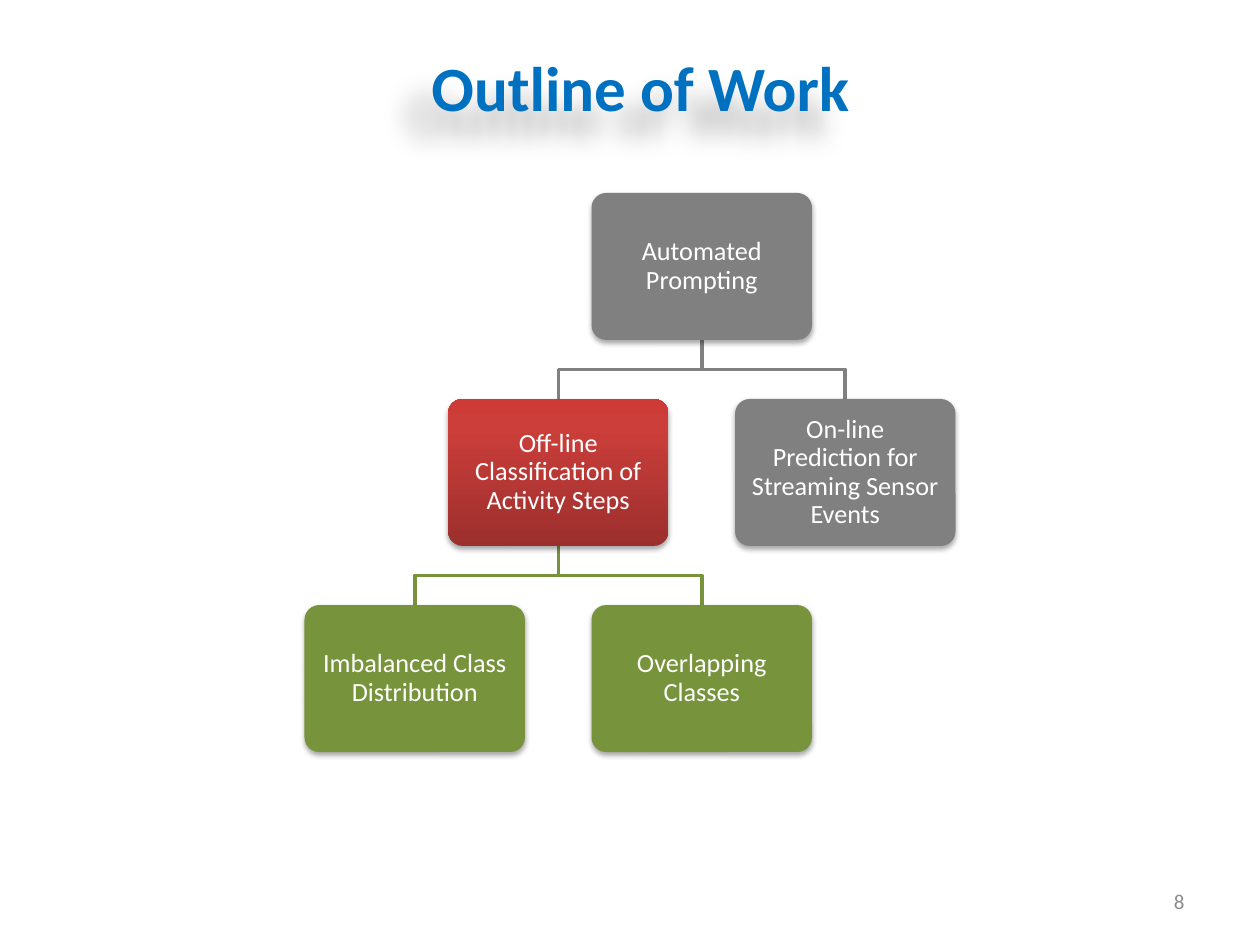
from copy import deepcopy

from lxml.etree import SubElement
from pptx import Presentation
from pptx.dml.color import RGBColor
from pptx.enum.shapes import MSO_SHAPE
from pptx.enum.text import MSO_ANCHOR, PP_ALIGN
from pptx.oxml.ns import qn
from pptx.util import Pt

COLOURS = {
    "title": "0070C0",
    "number": "8C8C8C",
    "text": "FFFFFF",
    "shadow": "000000",
    "grey": "808080",
    "green": "77933C",
}
RED_STOPS = [(0, "9C2F2D"), (0.8, "CB3E3A"), (1, "CE3B37")]

BOX_WIDTH, BOX_HEIGHT = 126, 84
FIRST_CENTRE, COLUMN_STEP = 237, 82
FIRST_TOP, ROW_STEP = 110.25, 117.75

NODES = {
    "root": ("Automated Prompting", 2, 0, "grey"),
    "offline": ("Off-line Classification of Activity Steps", 1, 1, "red"),
    "imbalanced": ("Imbalanced Class Distribution", 0, 2, "green"),
    "overlapping": ("Overlapping Classes", 2, 2, "green"),
    "online": ("On-line Prediction for Streaming Sensor Events", 3, 1, "grey"),
}
BRANCHES = [
    ("root", "offline", "grey"),
    ("offline", "imbalanced", "green"),
    ("offline", "overlapping", "green"),
    ("root", "online", "grey"),
]


class OutlineSlide:
    font = "Calibri"

    def __init__(self, presentation):
        self.slide = presentation.slides.add_slide(presentation.slide_layouts[6])

    def colour(self, name):
        return RGBColor.from_string(COLOURS[name])

    def set_text(self, shape, text, size, colour, alignment, bold=False):
        frame = shape.text_frame
        frame.text = text
        frame.word_wrap = True
        paragraph = frame.paragraphs[0]
        paragraph.alignment = alignment
        font = paragraph.runs[0].font
        font.name, font.size, font.bold = self.font, Pt(size), bold
        font.color.rgb = self.colour(colour)
        return paragraph

    def shadow(self, shape, blur, distance, angle, opacity):
        shape.shadow.inherit = False
        effects = shape.element.spPr.find(qn("a:effectLst"))
        outer = SubElement(
            effects, qn("a:outerShdw"), blurRad=str(Pt(blur)), dist=str(Pt(distance)),
            dir=str(angle * 60000), algn="ctr", rotWithShape="0")
        tint = SubElement(outer, qn("a:srgbClr"), val=COLOURS["shadow"])
        SubElement(tint, qn("a:alpha"), val=str(opacity * 1000))

    def label(self, text, left, top, width, height, size, colour, alignment,
              anchor=MSO_ANCHOR.TOP, bold=False):
        shape = self.slide.shapes.add_textbox(Pt(left), Pt(top), Pt(width), Pt(height))
        shape.text_frame.vertical_anchor = anchor
        self.set_text(shape, text, size, colour, alignment, bold)
        return shape

    def red_gradient(self, shape):
        fill = shape.fill
        fill.gradient()
        fill.gradient_angle = 90
        stop_list = next(shape.element.spPr.iter(qn("a:gsLst")))
        stop_list.append(deepcopy(stop_list[-1]))
        for stop, (position, colour) in zip(fill.gradient_stops, RED_STOPS):
            stop.position = position
            stop.color.rgb = RGBColor.from_string(colour)

    def box(self, text, column, row, colour):
        left = FIRST_CENTRE + column * COLUMN_STEP - BOX_WIDTH / 2
        top = FIRST_TOP + row * ROW_STEP
        shape = self.slide.shapes.add_shape(
            MSO_SHAPE.ROUNDED_RECTANGLE, Pt(left), Pt(top), Pt(BOX_WIDTH), Pt(BOX_HEIGHT))
        shape.adjustments[0] = 0.1
        shape.line.fill.background()
        if colour == "red":
            self.red_gradient(shape)
        else:
            shape.fill.solid()
            shape.fill.fore_color.rgb = self.colour(colour)
        self.shadow(shape, 3.1, 1.8, 90, 35)
        frame = shape.text_frame
        frame.margin_left = frame.margin_right = Pt(6.8)
        frame.margin_top = frame.margin_bottom = Pt(6.8)
        frame.vertical_anchor = MSO_ANCHOR.MIDDLE
        paragraph = self.set_text(shape, text, 15, "text", PP_ALIGN.CENTER)
        paragraph.line_spacing = 0.9

    def branch(self, parent, child, colour):
        parent_column, parent_row = NODES[parent][1:3]
        child_column = NODES[child][1]
        start, end = (FIRST_CENTRE + column * COLUMN_STEP
                      for column in (parent_column, child_column))
        top = FIRST_TOP + parent_row * ROW_STEP + BOX_HEIGHT
        bottom = FIRST_TOP + (parent_row + 1) * ROW_STEP
        middle = (top + bottom) / 2
        builder = self.slide.shapes.build_freeform(Pt(start), Pt(top))
        builder.add_line_segments(
            [(Pt(start), Pt(middle)), (Pt(end), Pt(middle)), (Pt(end), Pt(bottom))],
            close=False)
        shape = builder.convert_to_shape()
        shape.shadow.inherit = False
        shape.fill.background()
        shape.line.color.rgb = self.colour(colour)
        shape.line.width = Pt(2)


def main():
    presentation = Presentation()
    presentation.slide_width, presentation.slide_height = Pt(720), Pt(540)
    outline = OutlineSlide(presentation)
    title = outline.label("Outline of Work", 132, 24, 468, 51, 36, "title",
                          PP_ALIGN.CENTER, bold=True)
    outline.shadow(title, 15, 20, 135, 30)
    outline.label("8", 516, 500.5, 168, 28.75, 12, "number",
                  PP_ALIGN.RIGHT, MSO_ANCHOR.MIDDLE)
    for branch in BRANCHES:
        outline.branch(*branch)
    for node in NODES.values():
        outline.box(*node)
    presentation.save("out.pptx")


if __name__ == "__main__":
    main()
